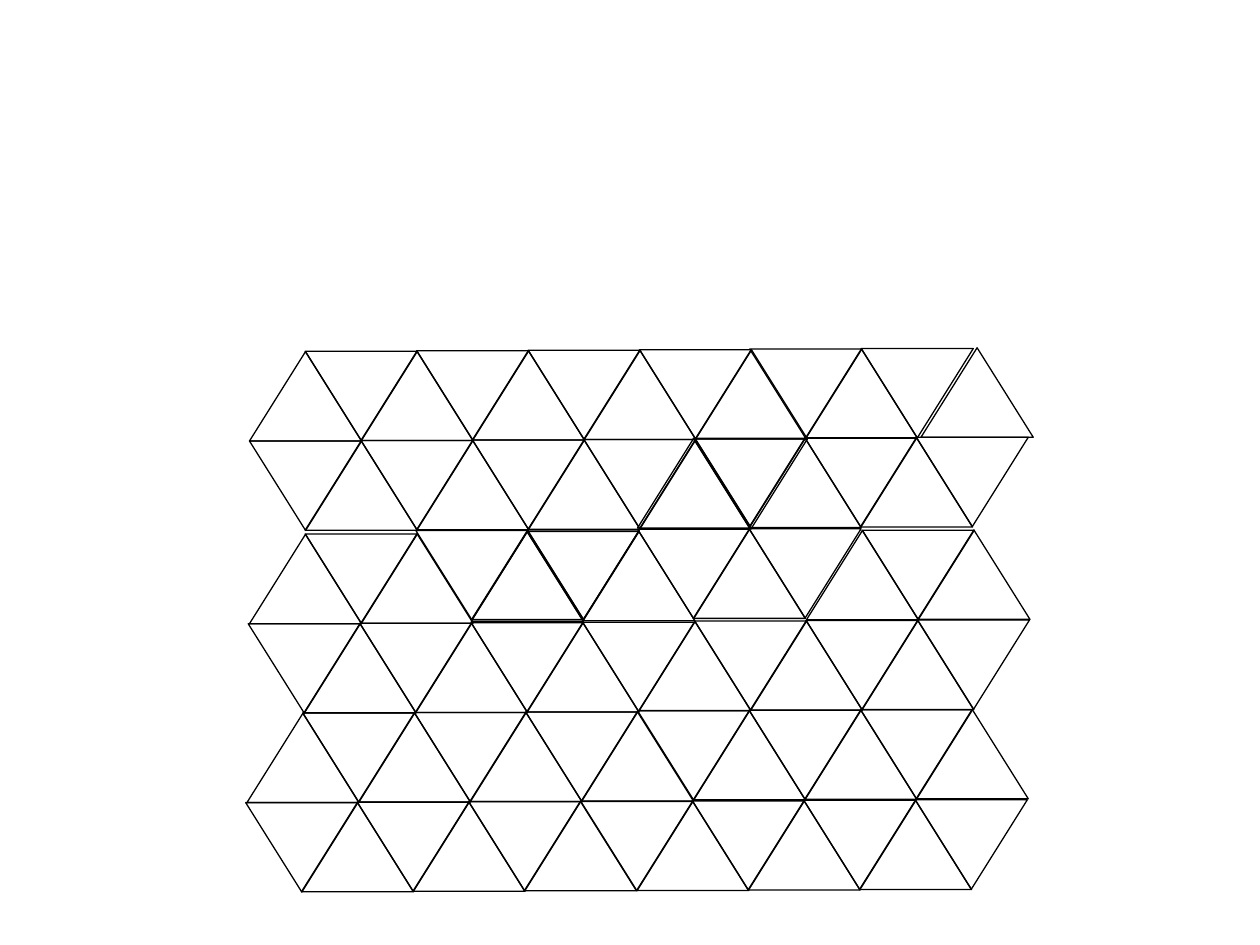
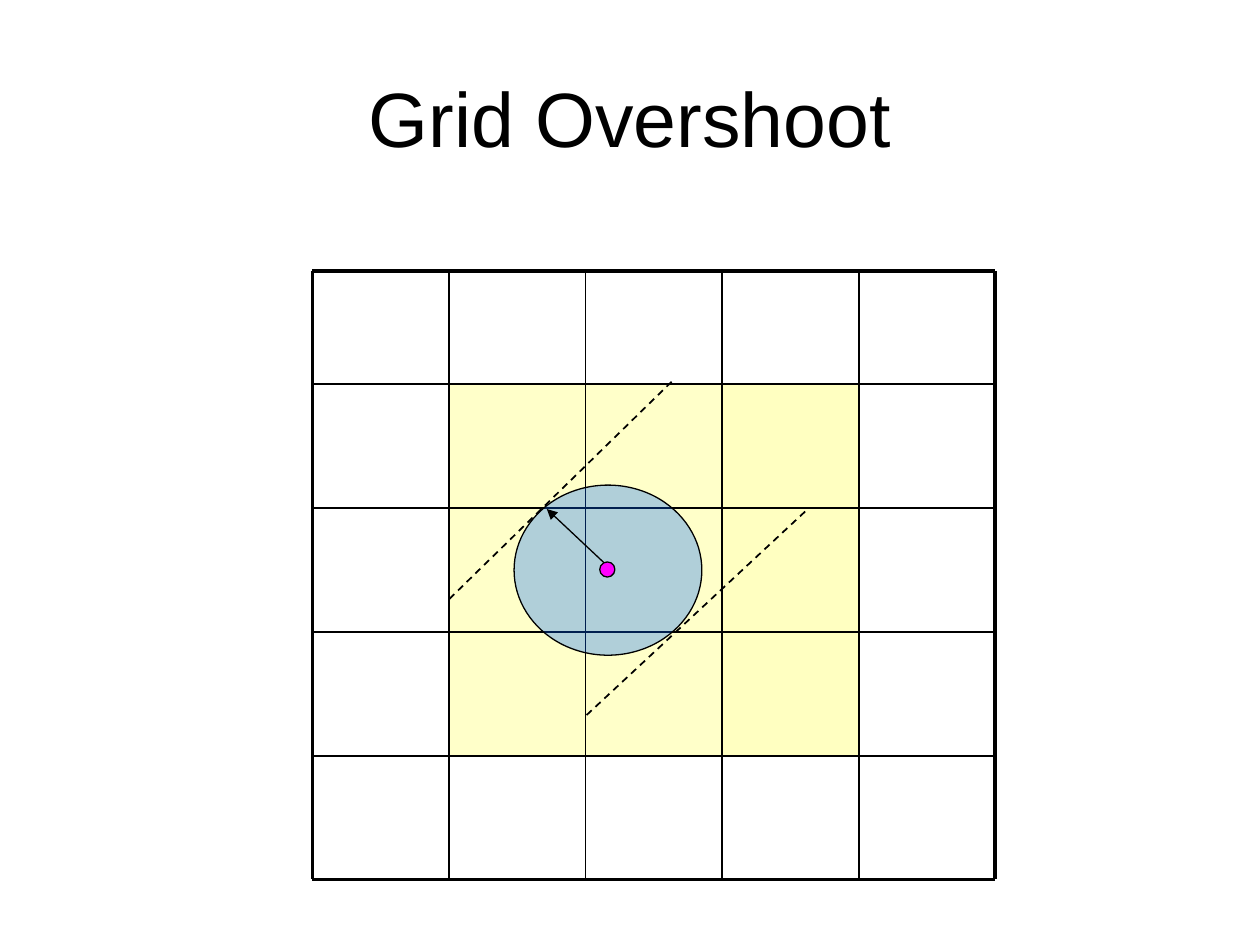
from lxml.etree import SubElement
from pptx import Presentation
from pptx.dml.color import RGBColor
from pptx.enum.dml import MSO_LINE
from pptx.enum.shapes import MSO_CONNECTOR, MSO_SHAPE
from pptx.enum.text import MSO_ANCHOR, PP_ALIGN
from pptx.oxml.ns import qn
from pptx.util import Inches, Pt

FONT = "Arial"
INK = "000000"
YELLOW, BLUE, MAGENTA = "FFFF66", "0066FF", "FF00FF"
THIN, MEDIUM, THICK = 0.75, 1, 2.25

TRIANGLE_WIDTH, TRIANGLE_HEIGHT = 0.89, 0.71
TRIANGLE_STEP, TRIANGLE_RISE = 0.44, 0.002
# row, first column, count, left, top
TRIANGLE_RUNS = [
    (0, 0, 9, 1.98, 2.79), (0, 9, 3, 5.95, 2.77), (0, 12, 1, 7.31, 2.76),
    (1, 0, 9, 1.98, 3.5), (1, 7, 6, 5.06, 3.48),
    (2, 0, 3, 1.98, 4.24), (2, 3, 3, 3.3, 4.21), (2, 4, 3, 3.74, 4.22),
    (2, 7, 3, 5.06, 4.2), (2, 10, 3, 6.4, 4.21),
    (3, 0, 7, 1.97, 4.95), (3, 7, 6, 5.07, 4.93),
    (4, 0, 7, 1.96, 5.66), (4, 7, 6, 5.06, 5.64),
    (5, 0, 6, 1.95, 6.37), (5, 6, 7, 4.61, 6.36),
]

TITLE = "Grid Overshoot"
GRID_LEFT, GRID_TOP, GRID_RIGHT, GRID_BOTTOM = 2.48, 2.15, 7.9, 6.98
CELLS = 5
FIRST_ROW_BOTTOM = 3.05
CELL_WIDTH = (GRID_RIGHT - GRID_LEFT) / CELLS
CELL_HEIGHT = (GRID_BOTTOM - FIRST_ROW_BOTTOM) / (CELLS - 1)
COLUMN_EDGES = [GRID_LEFT + CELL_WIDTH * i for i in range(CELLS + 1)]
ROW_EDGES = [GRID_TOP] + [FIRST_ROW_BOTTOM + CELL_HEIGHT * i for i in range(CELLS)]
COLUMN_OPACITY = {3: 40, 2: 35, 1: 35}
SEARCH_CIRCLE = (4.08, 3.85, 1.49, 1.35)
CENTRE_DOT = (4.76, 4.46, 0.12, 0.12)
RADIUS_ARROW = (4.83, 4.5, 4.34, 4.04)
TANGENTS = [(5.33, 3.03, 3.56, 4.76), (6.39, 4.06, 4.64, 5.69)]


def rgb(color):
    return RGBColor.from_string(color)


def add_figure(group, kind, box, fill=None, opacity=100, line_width=THIN):
    shape = group.shapes.add_shape(kind, *map(Inches, box))
    shape.shadow.inherit = False
    if fill:
        shape.fill.solid()
        shape.fill.fore_color.rgb = rgb(fill)
        if opacity < 100:
            color = shape._element.spPr.find(qn("a:solidFill"))[0]
            SubElement(color, qn("a:alpha"), val=str(opacity * 1000))
    else:
        shape.fill.background()
    if line_width:
        shape.line.color.rgb = rgb(INK)
        shape.line.width = Pt(line_width)
    else:
        shape.line.fill.background()
    return shape


def add_line(group, ends, width, dashed=False, arrow=False):
    connector = group.shapes.add_connector(MSO_CONNECTOR.STRAIGHT, *map(Inches, ends))
    connector.line.color.rgb = rgb(INK)
    connector.line.width = Pt(width)
    if dashed:
        connector.line.dash_style = MSO_LINE.DASH
    properties = connector._element.spPr
    if arrow:
        SubElement(properties.find(qn("a:ln")), qn("a:tailEnd"), type="triangle")
    SubElement(properties, qn("a:effectLst"))


def build_triangles(presentation):
    slide = presentation.slides.add_slide(presentation.slide_layouts[6])
    group = slide.shapes.add_group_shape()
    for row, first, count, left, top in TRIANGLE_RUNS:
        for i in range(count):
            box = (left + TRIANGLE_STEP * i * 1.005, top - TRIANGLE_RISE * i,
                   TRIANGLE_WIDTH, TRIANGLE_HEIGHT)
            triangle = add_figure(group, MSO_SHAPE.ISOSCELES_TRIANGLE, box)
            if (row + first + i) % 2:
                triangle.rotation = 180


def add_title(slide, text):
    title = slide.shapes.title
    title.left, title.top, title.width, title.height = map(Inches, (0.5, 0.3, 9, 1.25))
    title.text_frame.text = text
    title.text_frame.vertical_anchor = MSO_ANCHOR.MIDDLE
    paragraph = title.text_frame.paragraphs[0]
    paragraph.alignment = PP_ALIGN.CENTER
    paragraph.font.name = FONT
    paragraph.font.size = Pt(44)
    paragraph.font.color.rgb = rgb(INK)


def build_overshoot(presentation):
    slide = presentation.slides.add_slide(presentation.slide_layouts[5])
    add_title(slide, TITLE)
    group = slide.shapes.add_group_shape()
    for row in (3, 2, 1):
        for column, opacity in COLUMN_OPACITY.items():
            box = (COLUMN_EDGES[column], ROW_EDGES[row], CELL_WIDTH, CELL_HEIGHT)
            add_figure(group, MSO_SHAPE.RECTANGLE, box, YELLOW, opacity, None)
    for i in range(CELLS + 1):
        width = THICK if i in (0, CELLS) else MEDIUM
        x, y = COLUMN_EDGES[i], ROW_EDGES[i]
        add_line(group, (GRID_LEFT, y, GRID_RIGHT, y), width)
        add_line(group, (x, GRID_TOP, x, GRID_BOTTOM), width)
    add_figure(group, MSO_SHAPE.OVAL, SEARCH_CIRCLE, BLUE, 31)
    add_line(group, RADIUS_ARROW, THIN, arrow=True)
    add_figure(group, MSO_SHAPE.OVAL, CENTRE_DOT, MAGENTA)
    for tangent in TANGENTS:
        add_line(group, tangent, MEDIUM, dashed=True)


def main():
    presentation = Presentation()
    presentation.slide_width, presentation.slide_height = Inches(10), Inches(7.5)
    build_triangles(presentation)
    build_overshoot(presentation)
    presentation.save("out.pptx")


if __name__ == "__main__":
    main()
